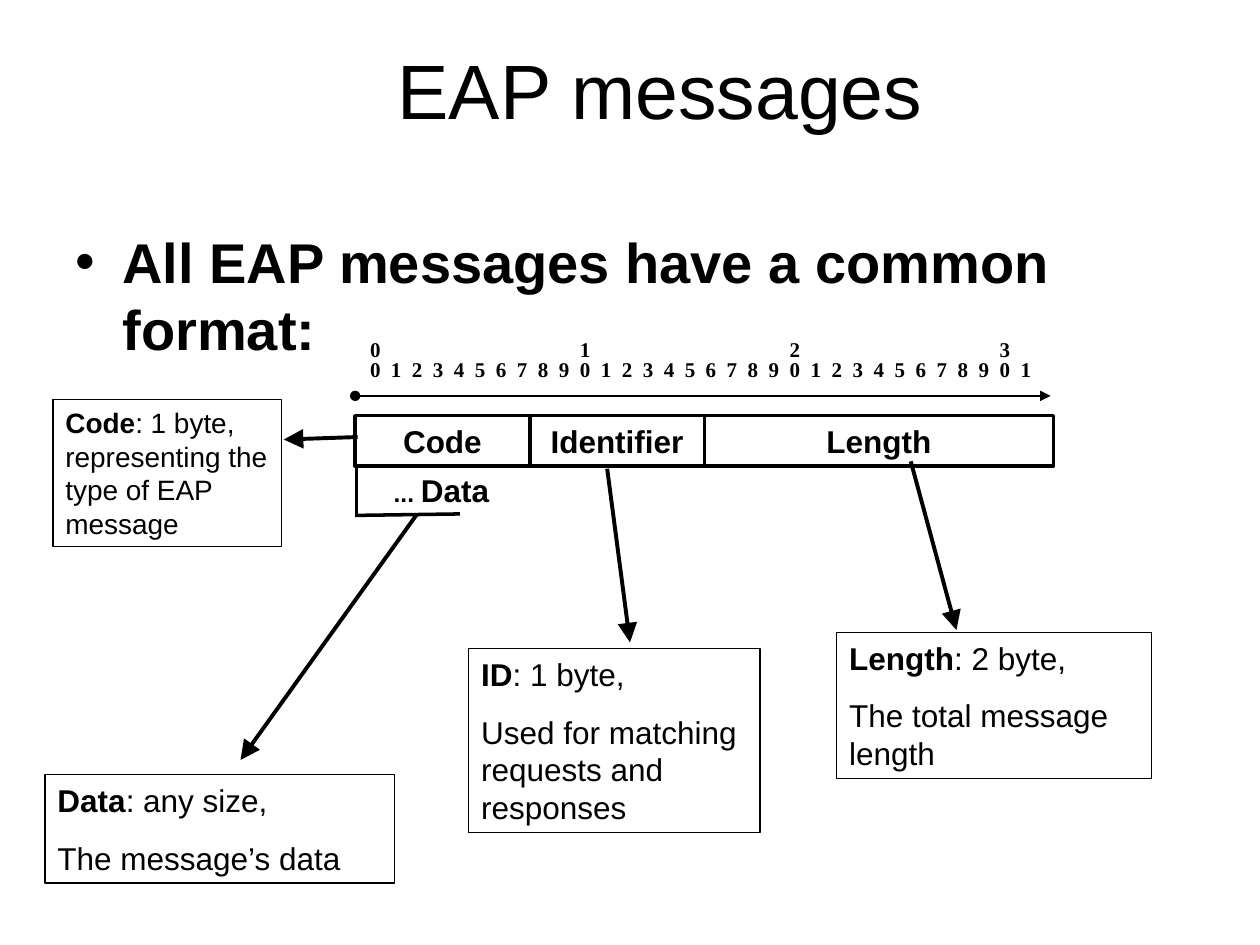
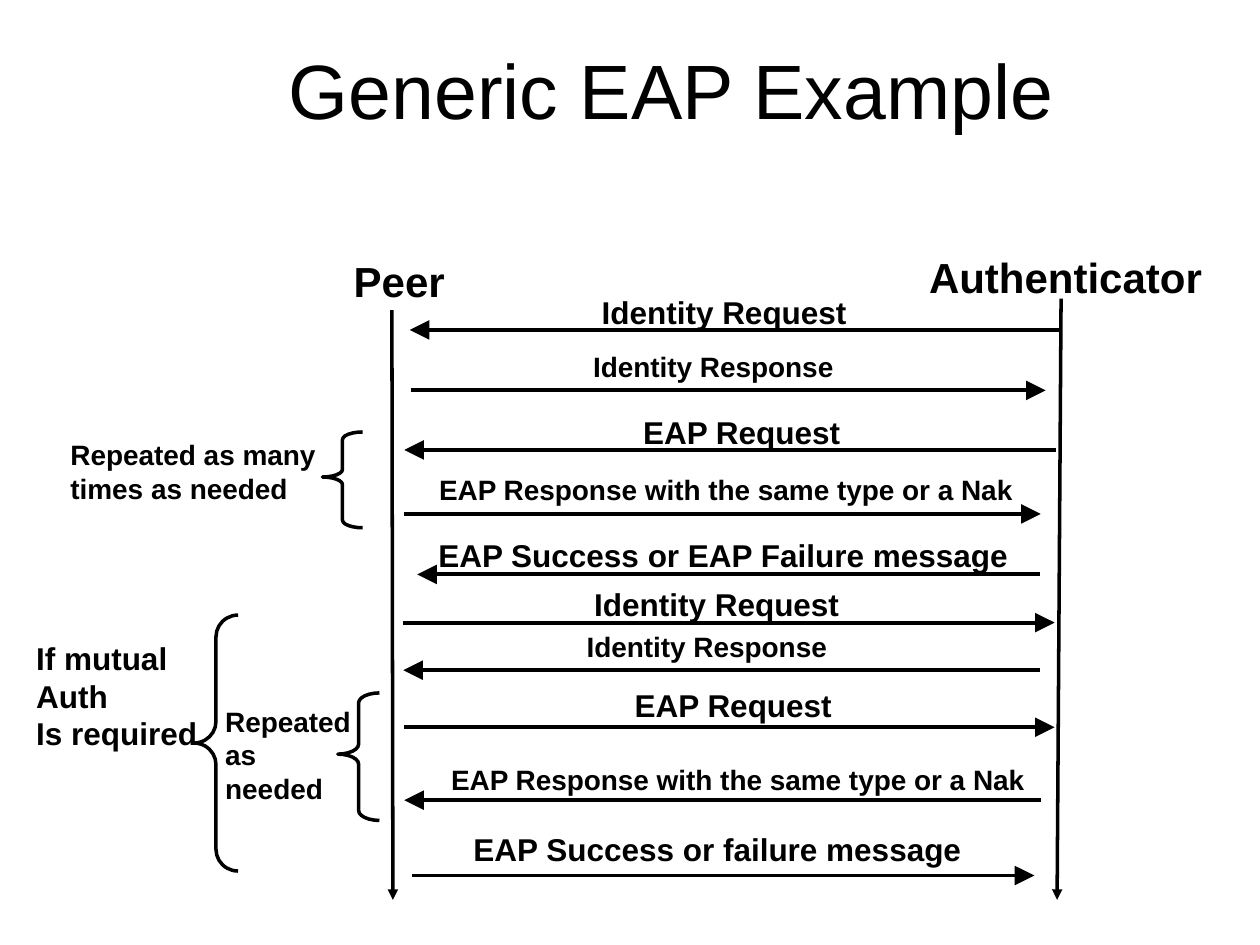
from pptx import Presentation
from pptx.dml.color import RGBColor
from pptx.enum.shapes import MSO_CONNECTOR, MSO_SHAPE
from pptx.enum.text import MSO_ANCHOR, MSO_AUTO_SIZE, PP_ALIGN
from pptx.oxml.ns import qn
from pptx.util import Cm, Pt
from lxml import etree

LEFT, CENTER, RIGHT = PP_ALIGN.LEFT, PP_ALIGN.CENTER, PP_ALIGN.RIGHT
TOP, MIDDLE = MSO_ANCHOR.TOP, MSO_ANCHOR.MIDDLE
NO_AUTOFIT = MSO_AUTO_SIZE.NONE
STRAIGHT = MSO_CONNECTOR.STRAIGHT
RECTANGLE, LEFT_BRACE = MSO_SHAPE.RECTANGLE, MSO_SHAPE.LEFT_BRACE

COLORS = {"ink": "000000", "paper": "FFFFFF"}
SANS, SERIF = "Arial", "Times New Roman"
TITLE_ONLY = 5
INSETS = {
    "margin_left": Cm(0.25), "margin_right": Cm(0.25),
    "margin_top": Cm(0.13), "margin_bottom": Cm(0.13),
    "word_wrap": True, "auto_size": NO_AUTOFIT,
}
BYTE_WIDTH = 3.52
BIT_PITCH = 4.23 / 10


def color(key):
    return RGBColor.from_string(COLORS[key])


def apply_format(target, values):
    for attribute, value in values.items():
        setattr(target, attribute, value)


def place(left, top, width, height):
    return Cm(left), Cm(top), Cm(width), Cm(height)


def format_font(font, size, bold=True, face=SANS):
    apply_format(font, {"name": face, "size": Pt(size), "bold": bold})
    font.color.rgb = color("ink")


def write(frame, paragraphs, size, align=LEFT, face=SANS, gap=0, anchor=TOP):
    apply_format(frame, {**INSETS, "vertical_anchor": anchor})
    for index, parts in enumerate(paragraphs):
        paragraph = frame.add_paragraph() if index else frame.paragraphs[0]
        paragraph.alignment = align
        if index and gap:
            paragraph.space_before = Pt(gap)
        for words, bold in parts:
            run = paragraph.add_run()
            run.text = words
            format_font(run.font, size, bold, face)


def outline(shape, weight):
    shape.shadow.inherit = False
    shape.fill.background()
    shape.line.color.rgb = color("ink")
    shape.line.width = Pt(weight)


def add_title_slide(deck, heading, left):
    slide = deck.slides.add_slide(deck.slide_layouts[TITLE_ONLY])
    slide.background.fill.solid()
    slide.background.fill.fore_color.rgb = color("paper")
    title = slide.shapes.title
    title.left, title.top, title.width, title.height = place(left, 0.2, 22.86, 3.18)
    write(title.text_frame, [[(heading, False)]], 44, CENTER, anchor=MIDDLE)
    return slide


def add_label(slide, box, lines, size, align=LEFT, face=SANS):
    label = slide.shapes.add_textbox(*place(*box))
    write(label.text_frame, [[(line, True)] for line in lines], size, align, face)
    return label


def add_box(slide, box, paragraphs, size, weight, align=LEFT, gap=0):
    frame = slide.shapes.add_shape(RECTANGLE, *place(*box))
    outline(frame, weight)
    write(frame.text_frame, paragraphs, size, align, gap=gap)


def add_line(slide, start, end, weight, head=None, tail=None, arrow_size="med"):
    line = slide.shapes.add_connector(STRAIGHT, *map(Cm, start + end))
    line.line.color.rgb = color("ink")
    line.line.width = Pt(weight)
    for tag, kind in (("a:headEnd", head), ("a:tailEnd", tail)):
        if kind:
            etree.SubElement(line.line._get_or_add_ln(), qn(tag),
                             type=kind, w=arrow_size, len=arrow_size)
    etree.SubElement(line._element.spPr, qn("a:effectLst"))


def add_arrow(slide, start, end):
    add_line(slide, start, end, 2.25, tail="triangle", arrow_size="lg")


def add_brace(slide, box, curl, point):
    brace = slide.shapes.add_shape(LEFT_BRACE, *place(*box))
    outline(brace, 2)
    brace.adjustments[0] = curl
    brace.adjustments[1] = point


def add_bullet(slide, box, words):
    bullet = slide.shapes.add_textbox(*place(*box))
    properties = bullet.text_frame.paragraphs[0]._p.get_or_add_pPr()
    properties.set("marL", str(Cm(0.95)))
    properties.set("indent", str(-Cm(0.95)))
    etree.SubElement(properties, qn("a:buFont"), typeface=SANS)
    etree.SubElement(properties, qn("a:buChar"), char="•")
    write(bullet.text_frame, [[(words, True)]], 32)


def add_ruler(slide, top, digits, pitch):
    ruler = add_label(slide, (7.21, top, 14.02, 0.76), ["\t".join(digits)], 12, face=SERIF)
    properties = ruler.text_frame.paragraphs[0]._p.get_or_add_pPr()
    stops = etree.SubElement(properties, qn("a:tabLst"))
    for step in range(1, len(digits)):
        etree.SubElement(stops, qn("a:tab"), pos=str(Cm(step * pitch)), algn="l")


def add_message_format(slide):
    add_ruler(slide, 7.06, [str(bit % 10) for bit in range(32)], BIT_PITCH)
    add_ruler(slide, 6.65, [str(ten) for ten in range(4)], 10 * BIT_PITCH)
    add_line(slide, (7.16, 7.98), (21.18, 7.98), 0.75, head="oval", tail="triangle")
    left = 7.16
    for field, size_in_bytes in (("Code", 1), ("Identifier", 1), ("Length", 2)):
        width = size_in_bytes * BYTE_WIDTH
        add_box(slide, (left, 8.38, width, 1.02), [[(field, True)]], 18, 2, CENTER)
        left += width
    data = add_label(slide, (7.16, 9.37, 3.48, 1.02), ["... ", "Data"][:1], 14, CENTER)
    data_name = data.text_frame.paragraphs[0].add_run()
    data_name.text = "Data"
    format_font(data_name.font, 18)
    add_line(slide, (7.19, 9.37), (7.19, 10.36), 2)
    add_line(slide, (9.27, 10.36), (7.16, 10.39), 2)


def build_messages(deck):
    slide = add_title_slide(deck, "EAP messages", 1.88)
    add_bullet(slide, (1.27, 4.45, 22.86, 12.57), "All EAP messages have a common format:")
    add_message_format(slide)
    callouts = [
        ("Code", ": 1 byte, representing the type of EAP message", None, 16,
         (1.07, 8.05, 4.6, 2.97), (7.21, 8.81), (5.72, 8.86)),
        ("Data", ": any size,", "The message’s data", 18,
         (0.91, 15.62, 7.04, 2.18), (8.41, 10.36), (4.85, 15.32)),
        ("ID", ": 1 byte,", "Used for matching requests and responses", 18,
         (9.45, 13.08, 5.87, 3.71), (12.24, 9.45), (12.7, 12.95)),
        ("Length", ": 2 byte,", "The total message length", 18,
         (16.87, 12.75, 6.35, 2.95), (18.36, 9.3), (19.28, 12.7)),
    ]
    for field, size_note, purpose, size, box, start, end in callouts:
        paragraphs = [[(field, True), (size_note, False)]]
        if purpose:
            paragraphs.append([(purpose, False)])
        add_arrow(slide, start, end)
        add_box(slide, box, paragraphs, size, 0.75, gap=11.2)


def build_example(deck):
    slide = add_title_slide(deck, "Generic EAP Example", 2.11)
    parties = [
        ("Peer", (6.17, 5.03, 3.76, 1.3), (7.9, 6.25), (7.92, 18.14)),
        ("Authenticator", (18.24, 4.95, 6.48, 0.97), (21.39, 6.02), (21.31, 18.14)),
    ]
    for party, box, start, end in parties:
        add_label(slide, box, [party], 24, CENTER)
        add_line(slide, start, end, 2, tail="triangle")

    messages = [
        ("Identity Request", 18, RIGHT, (10.72, 5.77, 6.6), 21.39, 8.26, 6.65),
        ("Identity Response", 16, CENTER, (7.98, 6.91, 12.8), 8.28, 21.08, 7.87),
        ("EAP Request", 18, RIGHT, (12.47, 8.2, 4.72), 21.29, 8.15, 9.07),
        ("EAP Response with the same type or a Nak", 16, RIGHT,
         (7.87, 9.4, 12.8), 8.15, 20.98, 10.36),
        ("EAP Success or EAP Failure message", 18, RIGHT,
         (8.53, 10.67, 12.04), 20.96, 8.41, 11.58),
        ("Identity Request", 18, RIGHT, (10.57, 11.66, 6.6), 8.13, 21.26, 12.55),
        ("Identity Response", 16, CENTER, (7.85, 12.57, 12.8), 20.96, 8.13, 13.51),
        ("EAP Request", 18, RIGHT, (11.51, 13.69, 5.51), 8.15, 21.26, 14.66),
        ("EAP Response with the same type or a Nak", 16, RIGHT,
         (6.91, 15.24, 14), 20.98, 8.15, 16.13),
        ("EAP Success or failure message", 18, RIGHT,
         (9.09, 16.61, 10.54), 8.31, 20.85, 17.65),
    ]
    label_heights = {18: 1.04, 16: 0.89}
    for message, size, align, spot, sender, receiver, level in messages:
        add_arrow(slide, (sender, level), (receiver, level))
        add_label(slide, spot + (label_heights[size],), [message], size, align)

    remarks = [
        (["Repeated as many times as needed"], 16, (1.17, 8.69, 5.99, 1.96),
         (6.5, 8.71, 0.81, 1.93), 0.19, 0.47),
        (["Repeated as needed"], 16, (4.29, 14.07, 3.25, 2.67),
         (6.81, 13.97, 0.84, 2.57), 0.24, 0.48),
        (["If mutual", "Auth", "Is required"], 18, (0.48, 12.75, 3.76, 2.54),
         (3.91, 12.4, 0.89, 5.16), 0.49, 0.5),
    ]
    for lines, size, box, brace, curl, point in remarks:
        add_brace(slide, brace, curl, point)
        add_label(slide, box, lines, size)


def main():
    deck = Presentation()
    deck.slide_width, deck.slide_height = Cm(25.4), Cm(19.05)
    build_messages(deck)
    build_example(deck)
    deck.save("out.pptx")


if __name__ == "__main__":
    main()
